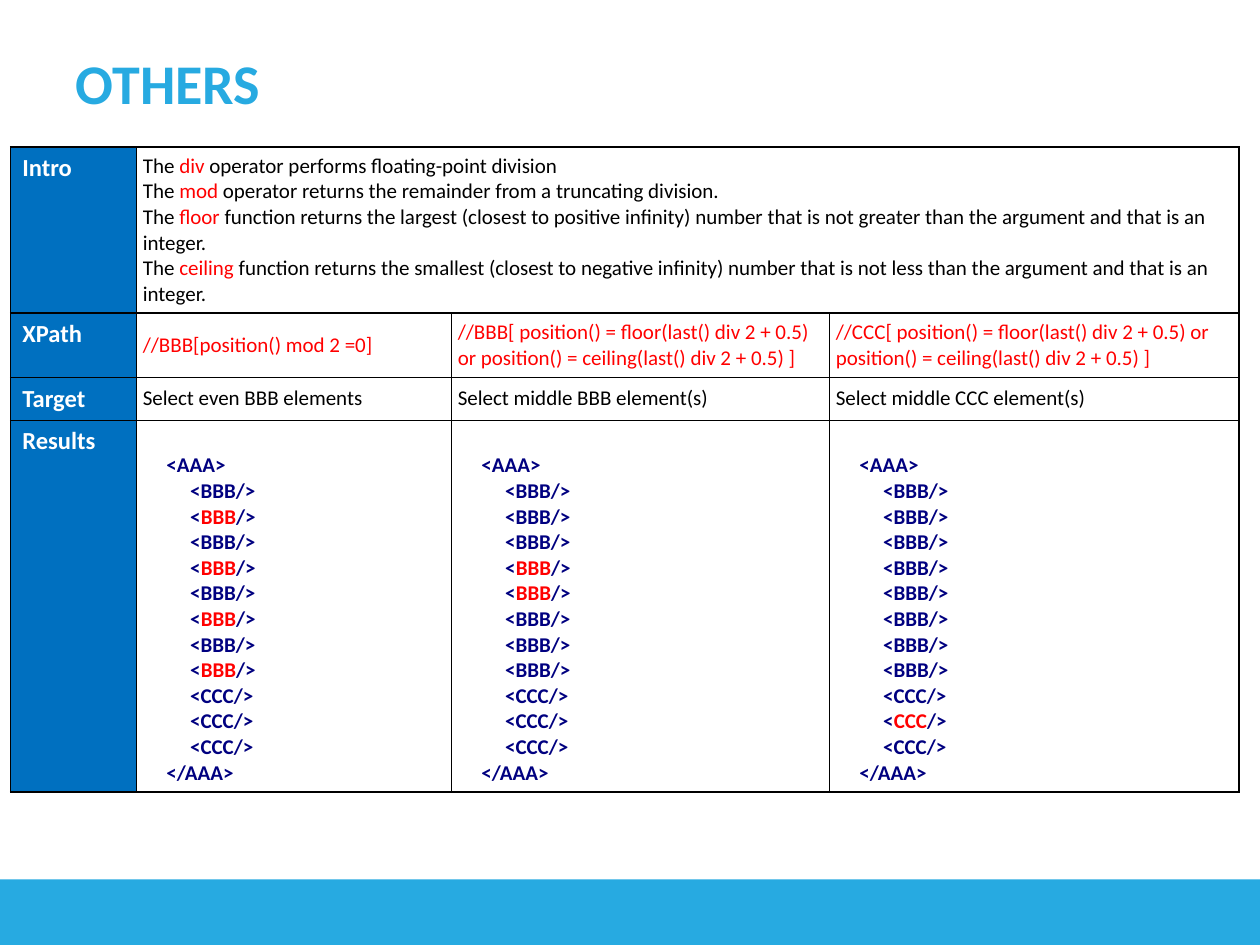
from lxml import etree
from pptx import Presentation
from pptx.dml.color import RGBColor
from pptx.enum.shapes import MSO_SHAPE
from pptx.enum.text import MSO_ANCHOR, PP_ALIGN
from pptx.oxml.ns import qn
from pptx.util import Pt

RECT = MSO_SHAPE.RECTANGLE
TOP, MIDDLE, BOTTOM = MSO_ANCHOR.TOP, MSO_ANCHOR.MIDDLE, MSO_ANCHOR.BOTTOM
LEFT = PP_ALIGN.LEFT
FONT = "Calibri"
C = {"sky": "27AAE1", "blue": "0070C0", "navy": "000080",
     "red": "FF0000", "black": "000000", "white": "FFFFFF"}


def fill_cell(cell, lines, size, color, bold=False, anchor=MIDDLE):
    """Write lines into a cell; text between asterisks is red."""
    cell.vertical_anchor = anchor
    cell.margin_left = cell.margin_right = Pt(3.6)
    cell.margin_top = cell.margin_bottom = Pt(3.6)
    tf = cell.text_frame
    for i, line in enumerate(lines):
        p = tf.paragraphs[0] if i == 0 else tf.add_paragraph()
        for j, part in enumerate(line.split("*")):
            if part:
                r = p.add_run()
                r.text = part
                r.font.name, r.font.size, r.font.bold = FONT, Pt(size), bold
                r.font.color.rgb = RGBColor.from_string(C["red" if j % 2 else color])


def set_borders(cell):
    """Put a 1 pt black line on all four sides, ahead of the cell fill."""
    tc_pr = cell._tc.get_or_add_tcPr()
    for i, side in enumerate(("a:lnL", "a:lnR", "a:lnT", "a:lnB")):
        ln = etree.Element(qn(side), w=str(Pt(1)))
        solid = etree.SubElement(ln, qn("a:solidFill"))
        etree.SubElement(solid, qn("a:srgbClr"), val=C["black"])
        tc_pr.insert(i, ln)


prs = Presentation()
prs.slide_width, prs.slide_height = Pt(720), Pt(540)
s = prs.slides.add_slide(prs.slide_layouts[5])

# Bottom band
sp = s.shapes.add_shape(RECT, Pt(-2), Pt(502.5), Pt(726), Pt(47))
sp.shadow.inherit = False
sp.fill.solid()
sp.fill.fore_color.rgb = RGBColor.from_string(C["sky"])
sp.line.fill.background()

# Title
title = s.shapes.title
title.left, title.top, title.width, title.height = Pt(36), Pt(21.6), Pt(493), Pt(50.4)
tf = title.text_frame
tf.text = "OTHERS"
tf.vertical_anchor = MIDDLE
p = tf.paragraphs[0]
p.alignment = LEFT
r = p.runs[0]
r.font.name, r.font.size, r.font.bold = FONT, Pt(32), True
r.font.color.rgb = RGBColor.from_string(C["sky"])

# Table grid
col_widths = [72, 180, 216, 234]
row_heights = [95, 36.7, 24.5, 212.5]
table = s.shapes.add_table(4, 4, Pt(6), Pt(84), Pt(sum(col_widths)),
                           Pt(sum(row_heights))).table
table.first_row = table.horz_banding = False
for col, width in zip(table.columns, col_widths):
    col.width = Pt(width)
for row, height in zip(table.rows, row_heights):
    row.height = Pt(height)
for cell in table.iter_cells():
    cell.fill.background()
    set_borders(cell)
table.cell(0, 1).merge(table.cell(0, 3))

# Row labels
for i, label in enumerate(["Intro", "XPath", "Target", "Results"]):
    cell = table.cell(i, 0)
    fill_cell(cell, [label], 14, "white", bold=True, anchor=TOP)
    cell.margin_left = Pt(6.8)
    cell.fill.solid()
    cell.fill.fore_color.rgb = RGBColor.from_string(C["blue"])

# Introduction
intro = [
    "The *div* operator performs floating-point division",
    "The *mod* operator returns the remainder from a truncating division.",
    "The *floor* function returns the largest (closest to positive infinity) number "
    "that is not greater than the argument and that is an integer.",
    "The *ceiling* function returns the smallest (closest to negative infinity) number "
    "that is not less than the argument and that is an integer.",
]
fill_cell(table.cell(0, 1), intro, 12, "black", anchor=TOP)

# Examples: XPath, target, positions of the selected children
middle = "[ position() = floor(last() div 2 + 0.5) or position() = ceiling(last() div 2 + 0.5) ]"
examples = [
    ("//BBB[position() mod 2 =0]", "Select even BBB elements", {2, 4, 6, 8}),
    ("//BBB" + middle, "Select middle BBB element(s)", {4, 5}),
    ("//CCC" + middle, "Select middle CCC element(s)", {10}),
]
children = ["BBB"] * 8 + ["CCC"] * 3
for col, (xpath, target, selected) in enumerate(examples, 1):
    fill_cell(table.cell(1, col), [xpath], 12, "red")
    fill_cell(table.cell(2, col), [target], 12, "black")
    code = [" " * 5 + "<AAA>"]
    for n, tag in enumerate(children, 1):
        name = f"*{tag}*" if n in selected else tag
        code.append(" " * 10 + f"<{name}/>")
    code.append(" " * 5 + "</AAA>")
    fill_cell(table.cell(3, col), code, 12, "navy", bold=True, anchor=BOTTOM)

prs.save("out.pptx")
